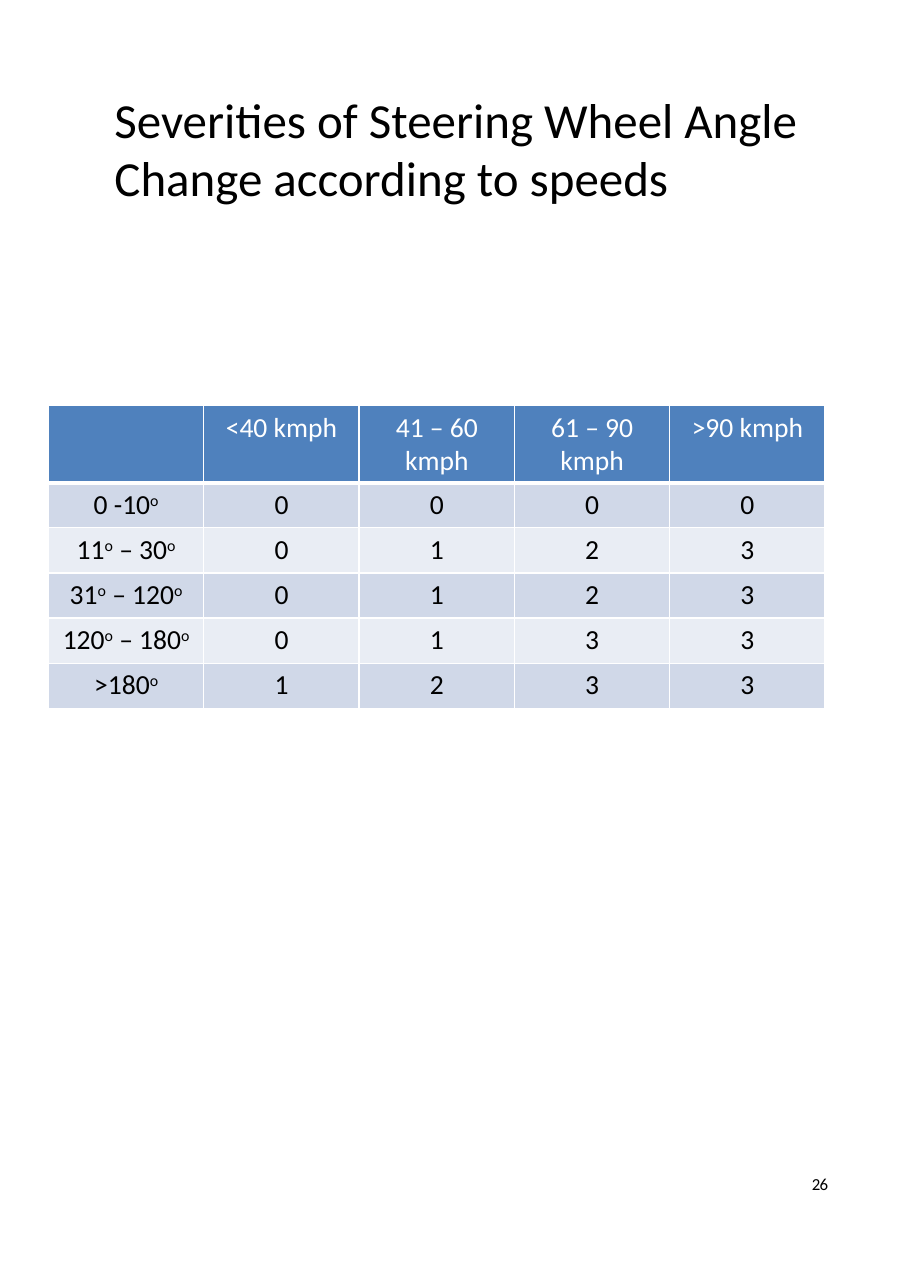
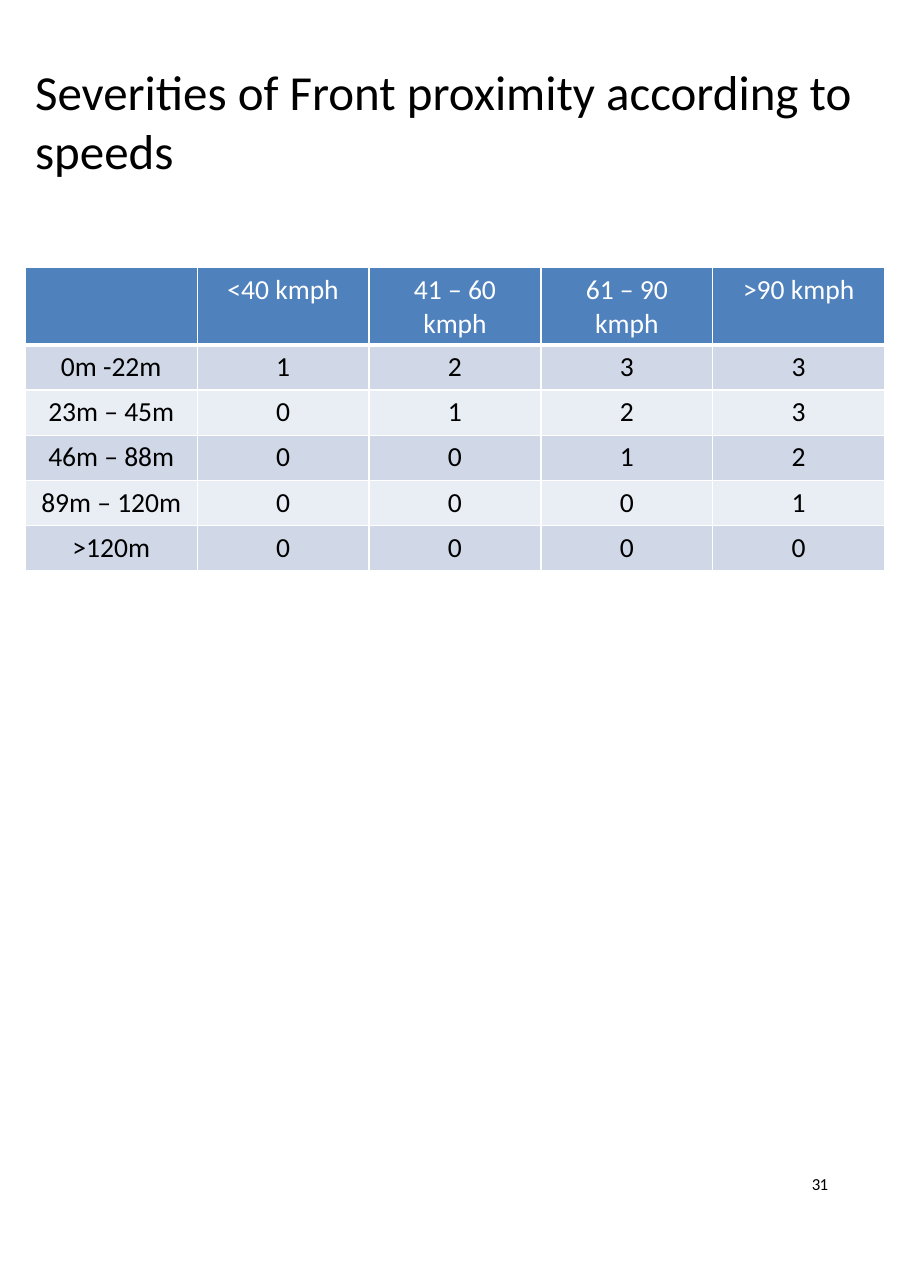
from dataclasses import dataclass

from lxml import etree
from pptx import Presentation
from pptx.dml.color import RGBColor
from pptx.enum.text import MSO_AUTO_SIZE, PP_ALIGN
from pptx.oxml.ns import qn
from pptx.util import Inches, Pt

LEFT, CENTER = PP_ALIGN.LEFT, PP_ALIGN.CENTER
GROW = MSO_AUTO_SIZE.SHAPE_TO_FIT_TEXT
FONT = "Calibri"
COLORS = {
    "text": "000000",
    "white": "FFFFFF",
    "head": "4F81BD",
    "odd": "D0D8E8",
    "even": "E9EDF4",
}
HEAD_HIGH, ROW_HIGH = 0.68, 0.41
SPEEDS = ("", "<40 kmph", "41 – 60 kmph", "61 – 90 kmph", ">90 kmph")


@dataclass(frozen=True)
class Box:
    left: float
    top: float
    wide: float
    high: float

    def emu(self) -> tuple:
        return tuple(Inches(n) for n in (self.left, self.top, self.wide, self.high))


@dataclass(frozen=True)
class Page:
    title: str
    place: Box
    grid: Box
    rows: tuple
    number: int


GRID_HIGH = HEAD_HIGH + 5 * ROW_HIGH
NUMBER = Box(7.33, 10.68, 0.39, 0.17)

# Text between two carets is set as superscript.
PAGES = (
    Page(
        "Severities of Steering Wheel Angle Change according to speeds",
        Box(0.94, 0.76, 6.55, 1.45),
        Box(0.44, 3.68, 7.05, GRID_HIGH),
        (
            ("0 -10^o^", 0, 0, 0, 0),
            ("11^o^ – 30^o^", 0, 1, 2, 3),
            ("31^o^ – 120^o^", 0, 1, 2, 3),
            ("120^o^ – 180^o^", 0, 1, 3, 3),
            (">180^o^", 1, 2, 3, 3),
        ),
        26,
    ),
    Page(
        "Severities of Front proximity according to speeds",
        Box(0.22, 0.51, 8.5, 1.45),
        Box(0.23, 2.43, 7.8, GRID_HIGH),
        (
            ("0m -22m", 1, 2, 3, 3),
            ("23m – 45m", 0, 1, 2, 3),
            ("46m – 88m", 0, 0, 1, 2),
            ("89m – 120m", 0, 0, 0, 1),
            (">120m", 0, 0, 0, 0),
        ),
        31,
    ),
)


def write(frame, text: str, *, size: float, color: str = "text",
          align=LEFT, space: float = 0) -> None:
    """Fill the first paragraph; space is the letter spacing in points."""
    line = frame.paragraphs[0]
    line.alignment = align
    line.font.size = Pt(size)
    for i, part in enumerate(text.split("^")):
        if not part:
            continue
        run = line.add_run()
        run.text = part
        run.font.name = FONT
        run.font.size = Pt(size)
        run.font.bold = False
        run.font.color.rgb = RGBColor.from_string(COLORS[color])
        props = run._r.get_or_add_rPr()
        if i % 2:
            props.set("baseline", "30000")
        if space:
            props.set("spc", str(round(space * 100)))


def edge(cell, base: float) -> None:
    """Draw white borders, 1 point wide except for the bottom one."""
    props = cell._tc.get_or_add_tcPr()
    widths = {"lnL": 1, "lnR": 1, "lnT": 1, "lnB": base}
    for i, (tag, width) in enumerate(widths.items()):
        line = etree.Element(qn(f"a:{tag}"), w=str(Pt(width)))
        fill = etree.SubElement(line, qn("a:solidFill"))
        etree.SubElement(fill, qn("a:srgbClr"), val=COLORS["white"])
        props.insert(i, line)


def add_grid(slide, box: Box, rows: tuple) -> None:
    lines = (SPEEDS, *rows)
    table = slide.shapes.add_table(len(lines), len(SPEEDS), *box.emu()).table
    table.horz_banding = False
    for col in table.columns:
        col.width = Inches(box.wide / len(SPEEDS))
    for i, line in enumerate(lines):
        head = i == 0
        table.rows[i].height = Inches(HEAD_HIGH if head else ROW_HIGH)
        back = "head" if head else "odd" if i % 2 else "even"
        for j, value in enumerate(line):
            cell = table.cell(i, j)
            cell.fill.solid()
            cell.fill.fore_color.rgb = RGBColor.from_string(COLORS[back])
            edge(cell, 3 if head else 1)
            write(cell.text_frame, str(value), size=18, align=CENTER,
                  color="white" if head else "text")


def add_frame(slide, box: Box):
    frame = slide.shapes.add_textbox(*box.emu()).text_frame
    frame.word_wrap = True
    return frame


def add_number(slide, number: int) -> None:
    frame = add_frame(slide, NUMBER)
    frame.auto_size = GROW
    frame.margin_left = Inches(0.04)
    frame.margin_top = frame.margin_right = frame.margin_bottom = 0
    frame.paragraphs[0].line_spacing = Pt(11.5)
    write(frame, str(number), size=11, space=-0.5)


def main() -> None:
    deck = Presentation()
    deck.slide_width, deck.slide_height = Inches(8.26), Inches(11.69)
    blank = deck.slide_layouts[6]
    for page in PAGES:
        slide = deck.slides.add_slide(blank)
        write(add_frame(slide, page.place), page.title, size=32)
        add_grid(slide, page.grid, page.rows)
        add_number(slide, page.number)
    deck.save("out.pptx")


if __name__ == "__main__":
    main()
